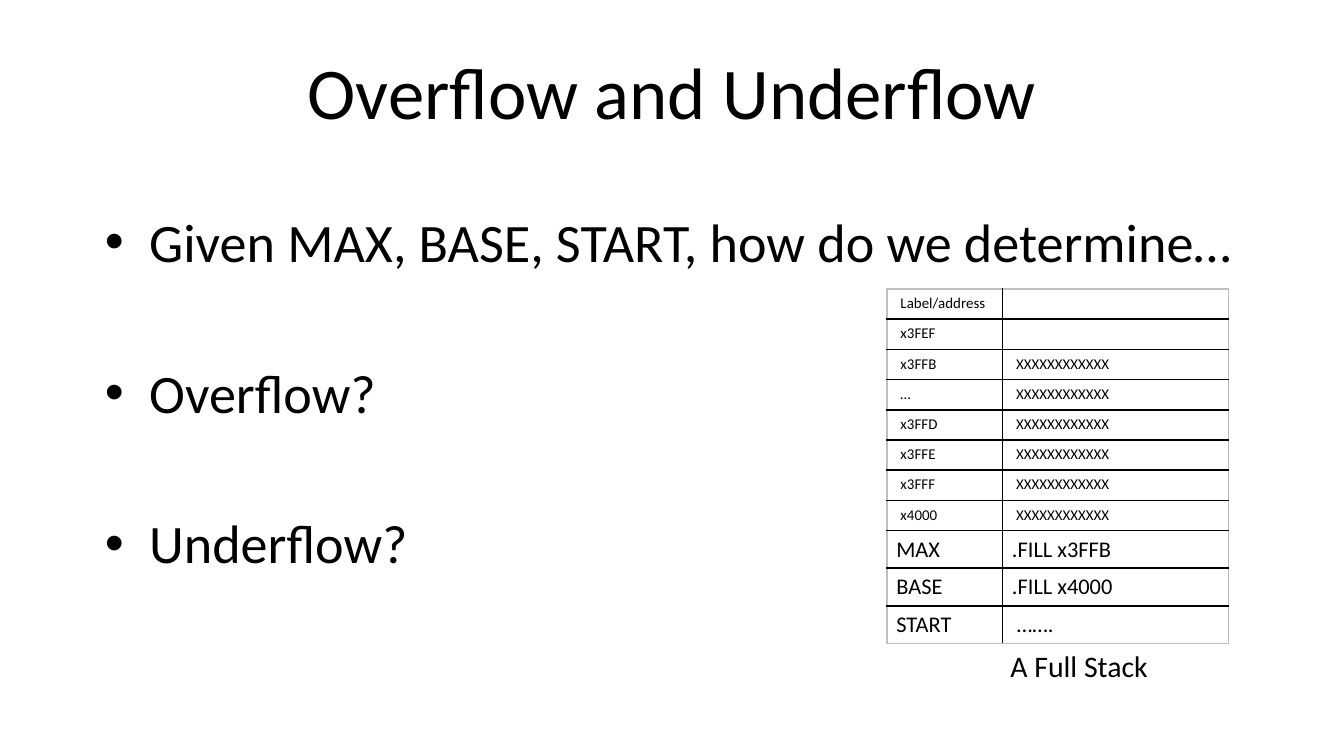
from dataclasses import dataclass

from lxml.etree import SubElement
from pptx import Presentation
from pptx.dml.color import RGBColor
from pptx.enum.text import MSO_ANCHOR, PP_ALIGN
from pptx.oxml.ns import qn
from pptx.util import Inches, Pt


@dataclass(frozen=True)
class Theme:
    font: str = "Calibri"
    bullet_font: str = "Arial"
    ink: str = "000000"
    frame: str = "BFBFBF"
    title: int = 39
    body: int = 29
    caption: int = 16
    address: int = 8
    label: int = 12
    border: int = 1


THEME = Theme()
BULLETS = ["Given MAX, BASE, START, how do we determine…", "Overflow?", "Underflow?"]
FILLED = "XXXXXXXXXXXX"
ADDRESS_ROWS = [("Label/address", ""), ("x3FEF", "")] + [
    (address, FILLED)
    for address in ("x3FFB", "…", "x3FFD", "x3FFE", "x3FFF", "x4000")
]
LABEL_ROWS = [("MAX", ".FILL x3FFB"), ("BASE", ".FILL x4000"), ("START", " …….")]


def style(paragraph, size):
    paragraph.font.name = THEME.font
    paragraph.font.size = Pt(size)
    paragraph.font.color.rgb = RGBColor.from_string(THEME.ink)


def add_text(slide, box, lines, size, wrap=True):
    shape = slide.shapes.add_textbox(*map(Inches, box))
    frame = shape.text_frame
    frame.word_wrap = wrap
    frame.text = "\n".join(lines)
    for paragraph in frame.paragraphs:
        style(paragraph, size)
    return frame


def add_title(slide, text):
    frame = add_text(slide, (0.69, 0.3, 8.62, 1.09), [text], THEME.title)
    frame.margin_top = Inches(0.05)
    frame.paragraphs[0].alignment = PP_ALIGN.CENTER


def add_bullets(slide, lines):
    frame = add_text(slide, (0.69, 1.5, 8.62, 3.57), lines, THEME.body)
    frame.margin_left = frame.margin_right = Inches(0.09)
    frame.margin_top = Inches(0.05)
    for index, paragraph in enumerate(frame.paragraphs):
        paragraph.space_before = Pt(46 if index else 3)
        properties = paragraph._p.get_or_add_pPr()
        properties.set("marL", str(Inches(0.33)))
        properties.set("indent", str(-Inches(0.33)))
        for tag, attributes in (
            ("a:buFont", {"typeface": THEME.bullet_font}),
            ("a:buChar", {"char": "•"}),
        ):
            bullet = properties.makeelement(qn(tag), attributes)
            properties.insert_element_before(bullet, "a:tabLst", "a:defRPr", "a:extLst")


def set_borders(cell, colors):
    properties = cell._tc.get_or_add_tcPr()
    for side, color in zip(("lnL", "lnR", "lnT", "lnB"), colors):
        line = SubElement(properties, qn(f"a:{side}"), w=str(Pt(THEME.border)))
        fill = SubElement(line, qn("a:solidFill"))
        SubElement(fill, qn("a:srgbClr"), val=color)


def fill_cell(cell, text, size, margins, borders):
    side, top = margins
    cell.margin_left = cell.margin_right = Inches(side)
    cell.margin_top = cell.margin_bottom = Inches(top)
    cell.vertical_anchor = MSO_ANCHOR.TOP
    cell.text = text
    paragraph = cell.text_frame.paragraphs[0]
    style(paragraph, size)
    if not text:
        SubElement(paragraph._p, qn("a:endParaRPr"), sz=str(size * 100))
    set_borders(cell, borders)
    cell.fill.background()


def add_stack_table(slide):
    rows = ADDRESS_ROWS + LABEL_ROWS
    shape = slide.shapes.add_table(
        len(rows), 2, Inches(6.6), Inches(2.15), Inches(2.54), Inches(2.63)
    )
    table = shape.table
    table.first_row = table.horz_banding = False
    for column, width in zip(table.columns, (0.86, 1.68)):
        column.width = Inches(width)
    last = len(rows) - 1
    for row, values in enumerate(rows):
        is_address = row < len(ADDRESS_ROWS)
        height = 1.8 / len(ADDRESS_ROWS) if is_address else 0.83 / len(LABEL_ROWS)
        table.rows[row].height = Inches(height)
        size = THEME.address if is_address else THEME.label
        margins = (0.1, 0.04) if is_address else (0.07, 0.04)
        for column, text in enumerate(values):
            outer = (column == 0, column == 1, row == 0, row == last)
            borders = [THEME.frame if edge else THEME.ink for edge in outer]
            fill_cell(table.cell(row, column), text, size, margins, borders)


def main():
    presentation = Presentation()
    presentation.slide_width = Inches(10)
    presentation.slide_height = Inches(10 * 9 / 16)
    slide = presentation.slides.add_slide(presentation.slide_layouts[6])
    add_title(slide, "Overflow and Underflow")
    add_bullets(slide, BULLETS)
    add_stack_table(slide)
    add_text(
        slide, (7.42, 4.77, 1.24, 0.37), ["A Full Stack"], THEME.caption, wrap=False
    )
    presentation.save("out.pptx")


if __name__ == "__main__":
    main()
